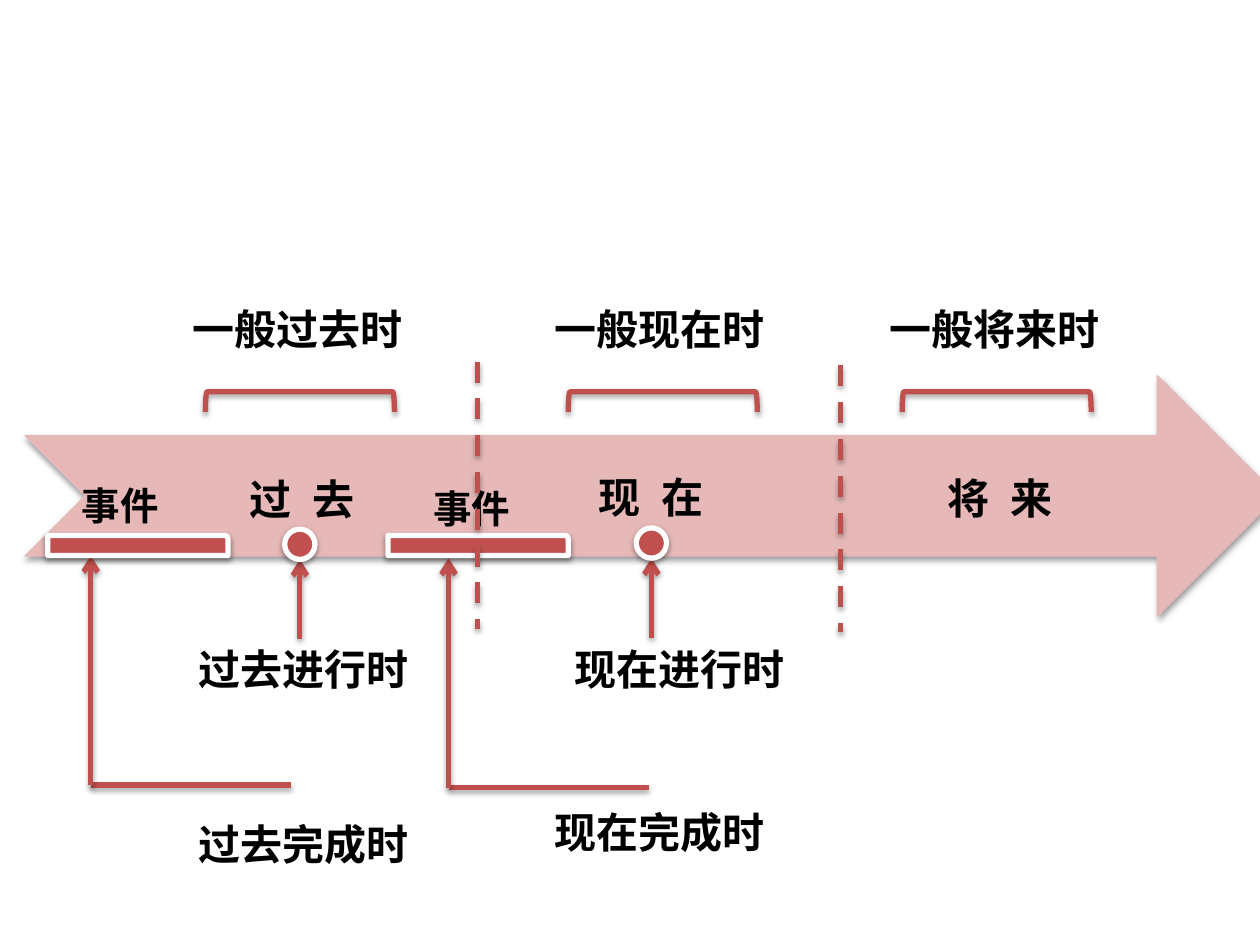
from lxml.etree import SubElement
from pptx import Presentation
from pptx.dml.color import RGBColor
from pptx.enum.dml import MSO_LINE
from pptx.enum.shapes import MSO_CONNECTOR, MSO_SHAPE
from pptx.enum.text import MSO_AUTO_SIZE
from pptx.oxml.ns import qn
from pptx.util import Inches, Pt

COLORS = {"band": "E6B9B8", "accent": "C0504D", "white": "FFFFFF", "text": "000000"}
FONT = {"name": "Arial", "bold": True}


def rgb(key):
    """Return the named colour."""
    return RGBColor.from_string(COLORS[key])


def add_shadow(sp, alpha, distance):
    """Give a shape or connector a soft shadow straight below it."""
    props = sp._element.spPr
    for old in props.findall(qn("a:effectLst")):
        props.remove(old)
    effects = SubElement(props, qn("a:effectLst"))
    shadow = SubElement(effects, qn("a:outerShdw"), blurRad=str(Pt(3.1)),
                        dist=str(Pt(distance)), dir="5400000", rotWithShape="0")
    color = SubElement(shadow, qn("a:srgbClr"), val=COLORS["text"])
    SubElement(color, qn("a:alpha"), val=str(alpha * 1000))


def add_label(shapes, x, y, w, text, size=24, spacing=0):
    """Add a bold one-line label, with optional extra letter spacing in points."""
    box = shapes.add_textbox(Inches(x), Inches(y), Inches(w), Inches(0.5 if size == 24 else 0.47))
    tf = box.text_frame
    tf.word_wrap = True
    tf.auto_size = MSO_AUTO_SIZE.SHAPE_TO_FIT_TEXT
    r = tf.paragraphs[0].add_run()
    r.text = text
    for name, value in {**FONT, "size": Pt(size)}.items():
        setattr(r.font, name, value)
    r.font.color.rgb = rgb("text")
    if spacing:
        r.font._element.set("spc", str(round(spacing * 100)))


def add_block(shapes, kind, x, y, w, h, fill, line, width=3, alpha=38, distance=1.6):
    """Add a preset shape with fill, outline and shadow."""
    sp = shapes.add_shape(kind, Inches(x), Inches(y), Inches(w), Inches(h))
    sp.shadow.inherit = False
    if fill:
        sp.fill.solid()
        sp.fill.fore_color.rgb = rgb(fill)
    else:
        sp.fill.background()
    sp.line.color.rgb = rgb(line)
    sp.line.width = Pt(width)
    add_shadow(sp, alpha, distance)
    return sp


def add_line(shapes, x1, y1, x2, y2, dash=None, arrow=False):
    """Add a straight accent line, optionally dashed or with an arrowhead."""
    line = shapes.add_connector(MSO_CONNECTOR.STRAIGHT, Inches(x1), Inches(y1),
                                Inches(x2), Inches(y2))
    line.line.color.rgb = rgb("accent")
    line.line.width = Pt(3)
    if dash:
        line.line.dash_style = dash
    if arrow:
        SubElement(line.line._get_or_add_ln(), qn("a:tailEnd"), type="arrow")
    add_shadow(line, 35, 1.8)


def add_simple_tense(shapes, x, y, text, bracket_x):
    """Add a simple tense label above its bracket."""
    w, h = 0.16, 1.5
    bracket = add_block(shapes, MSO_SHAPE.LEFT_BRACKET, bracket_x + (h - w) / 2, y + 0.08,
                        w, h, None, "accent", alpha=35, distance=1.8)
    bracket.rotation = 90
    add_label(shapes, x, y, 1.91, text)


def add_progressive_tense(shapes, x, y, text, label_x):
    """Add a dot centred at x, with an arrow rising to it from its label."""
    size = 0.24
    group = shapes.add_group_shape().shapes
    add_line(group, x, y + 0.87, x, y + size, arrow=True)
    add_block(group, MSO_SHAPE.OVAL, x - size / 2, y, size, size, "accent", "white")
    add_label(shapes, label_x, 5.06, 1.91, text)


def add_perfect_tense(shapes, x, y, text, bar_x, event, label):
    """Add an event bar with an elbow arrow that leads up from the tense label."""
    group = shapes.add_group_shape().shapes
    add_line(group, x, y, x + 1.59, y)
    add_line(group, x, y, x, y - 1.82, arrow=True)
    add_block(shapes, MSO_SHAPE.ROUND_1_RECTANGLE, bar_x, 4.25, 1.43, 0.16, "accent", "white")
    add_label(shapes, *event, 1.12, "事件", size=22)
    add_label(shapes, *label, 1.91, text)


def add_time_band(shapes, x, y, w, h):
    """Add the wide time arrow with its three period names."""
    add_block(shapes, MSO_SHAPE.NOTCHED_RIGHT_ARROW, x, y, w, h, "band", "band", width=0.75)
    for dx, dy, text in [(1.68, 0.73, "过 去"), (4.45, 0.71, "现 在"), (7.22, 0.72, "将 来")]:
        add_label(shapes, x + dx, y + dy, 1.5, text, spacing=3.3)


def build():
    """Build the tense timeline slide and save it."""
    prs = Presentation()
    prs.slide_width, prs.slide_height = Inches(10), Inches(7.5)
    shapes = prs.slides.add_slide(prs.slide_layouts[6]).shapes
    add_time_band(shapes, 0.2, 2.98, 9.94, 1.91)
    for x, text, bracket_x in [(1.43, "一般过去时", 1.63), (4.3, "一般现在时", 4.51),
                               (6.96, "一般将来时", 7.16)]:
        add_simple_tense(shapes, x, 2.36, text, bracket_x)
    add_progressive_tense(shapes, 5.17, 4.19, "现在进行时", 4.46)
    add_progressive_tense(shapes, 2.38, 4.2, "过去进行时", 1.48)
    add_perfect_tense(shapes, 3.56, 6.25, "现在完成时", 3.08, (3.34, 3.8), (4.3, 6.35))
    add_perfect_tense(shapes, 0.72, 6.23, "过去完成时", 0.38, (0.55, 3.78), (1.48, 6.45))
    for x, y in [(3.79, 2.87), (6.67, 2.9)]:
        add_line(shapes, x, y, x, y + 2.12, dash=MSO_LINE.DASH)
    prs.save("out.pptx")


if __name__ == "__main__":
    build()
